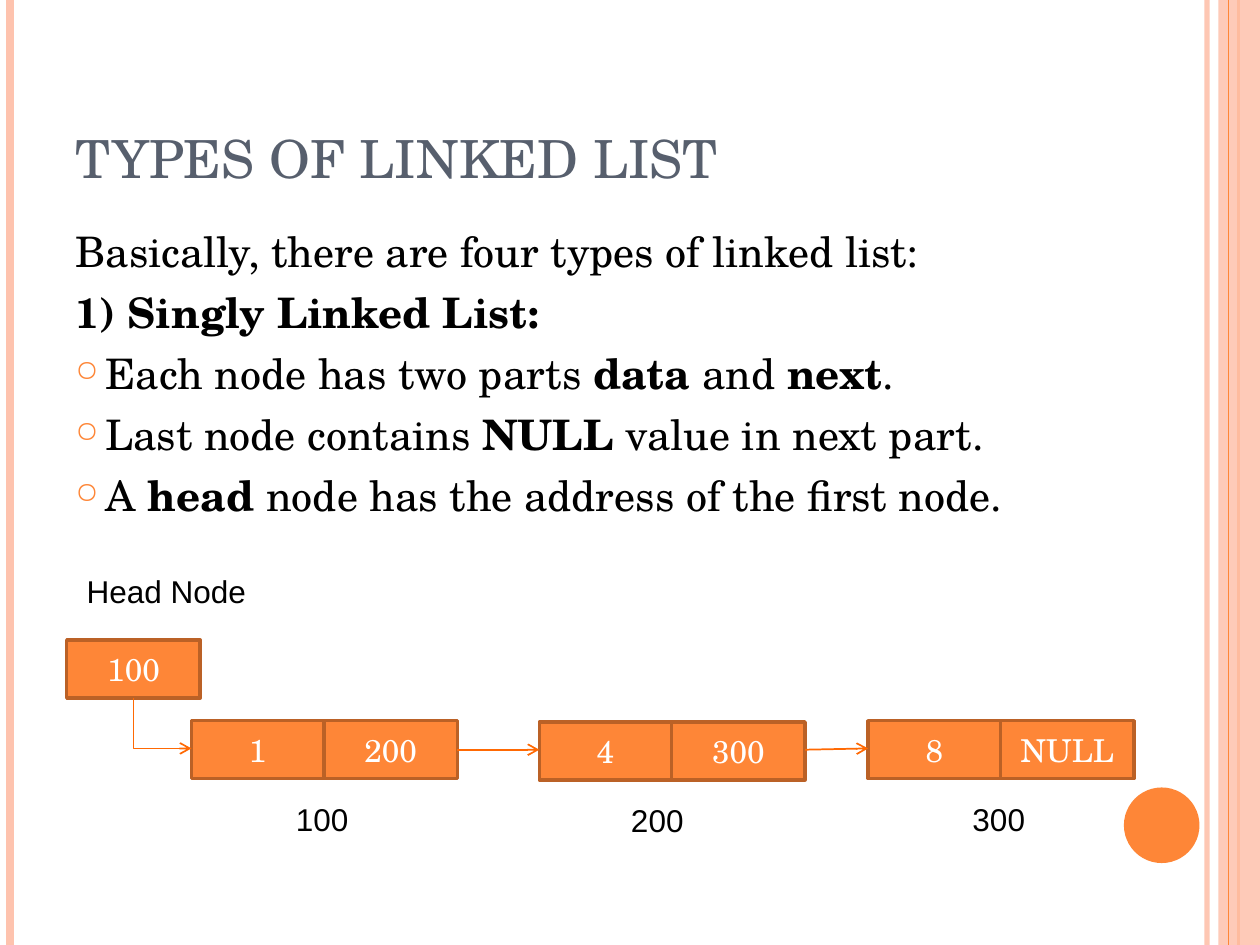
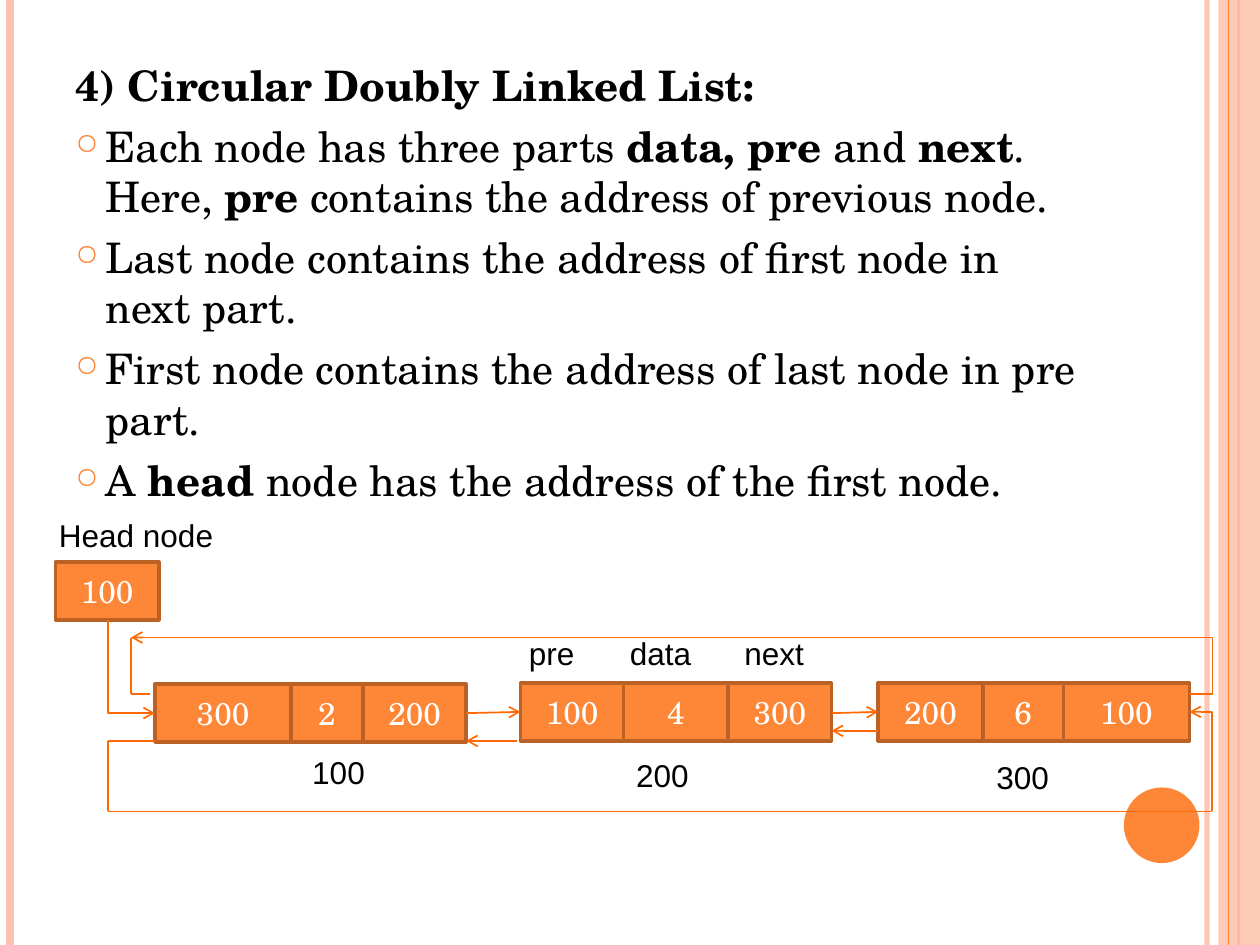
"""Builds two slides on singly and circular doubly linked lists."""
from dataclasses import dataclass

from pptx import Presentation
from pptx.dml.color import RGBColor
from pptx.enum.shapes import MSO_CONNECTOR as Connector, MSO_SHAPE as Preset
from pptx.enum.text import MSO_ANCHOR as Anchor, PP_ALIGN as Align
from pptx.oxml.ns import qn
from pptx.util import Pt
from lxml.etree import SubElement

PX = 9144
WIDTH, HEIGHT = 1000, 750


@dataclass(frozen=True)
class Theme:
    accent: str = "FE8637"
    accent_dark: str = "BB6126"
    band: str = "FEC3AE"
    arrow: str = "FF6903"
    heading: str = "575F6D"
    ink: str = "000000"
    paper: str = "FFFFFF"
    serif: str = "TeX Gyre Schola"
    sans: str = "Arial"
    title_size: int = 30
    body_size: int = 24
    small_size: int = 18
    indent: int = 24


class Deck:
    def __init__(self, theme):
        self.theme = theme
        self.presentation = Presentation()
        self.presentation.slide_width = WIDTH * PX
        self.presentation.slide_height = HEIGHT * PX
        self.slide = None

    def new_slide(self):
        theme = self.theme
        self.slide = self.presentation.slides.add_slide(self.presentation.slide_layouts[6])
        self.edge(958, theme.band, 3, 93)
        self.edge(8, theme.band, 4.5)
        self.edge(983, theme.accent, 1.5)
        self.shape(Preset.RECTANGLE, 967, 0, 33, HEIGHT, theme.band, opacity=87)
        self.edge(975, theme.accent, 0.75)
        self.shape(Preset.OVAL, 892, 625, 60, 60, theme.accent)

    def set_opacity(self, fill_parent, percent):
        for color in fill_parent.iter(qn("a:srgbClr")):
            SubElement(color, qn("a:alpha"), val=str(percent * 1000))

    def edge(self, x, color, weight, opacity=100):
        connector = self.line((x, 0), (x, HEIGHT), color, weight)
        if opacity < 100:
            self.set_opacity(connector._element.spPr, opacity)

    def line(self, start, end, color=None, weight=1, arrow=False, kind=Connector.STRAIGHT):
        connector = self.slide.shapes.add_connector(
            kind, *(length * PX for length in (*start, *end)))
        connector.line.color.rgb = RGBColor.from_string(color or self.theme.arrow)
        connector.line.width = Pt(weight)
        properties = connector._element.spPr
        if arrow:
            SubElement(properties.find(qn("a:ln")), qn("a:tailEnd"), type="arrow")
        SubElement(properties, qn("a:effectLst"))
        return connector

    def arrow(self, start, end):
        self.line(start, end, arrow=True)

    def elbow(self, start, end, bend=0):
        connector = self.line(start, end, arrow=True, kind=Connector.ELBOW)
        geometry = connector._element.spPr.find(qn("a:prstGeom"))
        guides = geometry.find(qn("a:avLst"))
        if guides is None:
            guides = SubElement(geometry, qn("a:avLst"))
        SubElement(guides, qn("a:gd"), name="adj1", fmla=f"val {bend}")

    def polyline(self, *points):
        for start, end in zip(points, points[1:]):
            self.line(start, end)

    def shape(self, preset, left, top, width, height, fill, outline=None, opacity=100):
        shape = self.slide.shapes.add_shape(
            preset, left * PX, top * PX, width * PX, height * PX)
        shape.shadow.inherit = False
        shape.fill.solid()
        shape.fill.fore_color.rgb = RGBColor.from_string(fill)
        if opacity < 100:
            self.set_opacity(shape._element.spPr, opacity)
        if outline:
            shape.line.color.rgb = RGBColor.from_string(outline)
            shape.line.width = Pt(2)
        else:
            shape.line.fill.background()
        return shape

    def add_runs(self, paragraph, text, font, size, color):
        for position, part in enumerate(text.split("*")):
            if part:
                run = paragraph.add_run()
                run.text = part
                run.font.name = font
                run.font.size = Pt(size)
                run.font.bold = position % 2 == 1
                run.font.color.rgb = RGBColor.from_string(color)

    def text_frame(self, left, top, width, height):
        box = self.slide.shapes.add_textbox(left * PX, top * PX, width * PX, height * PX)
        box.text_frame.word_wrap = True
        return box.text_frame

    def title(self, text):
        frame = self.text_frame(50, 30, 817, 125)
        frame.vertical_anchor = Anchor.BOTTOM
        theme = self.theme
        self.add_runs(frame.paragraphs[0], text, theme.serif, theme.title_size, theme.heading)

    def body(self, top, height, intro, bullets):
        theme = self.theme
        frame = self.text_frame(50, top, 817, height)
        for position, text in enumerate(intro + bullets):
            paragraph = frame.add_paragraph() if position else frame.paragraphs[0]
            if position:
                paragraph.space_before = Pt(6)
            if position >= len(intro):
                self.bullet(paragraph)
            self.add_runs(paragraph, text, theme.serif, theme.body_size, theme.ink)

    def bullet(self, paragraph):
        properties = paragraph._p.get_or_add_pPr()
        properties.set("marL", str(self.theme.indent * PX))
        properties.set("indent", str(-self.theme.indent * PX))
        color = SubElement(properties, qn("a:buClr"))
        SubElement(color, qn("a:srgbClr"), val=self.theme.accent)
        SubElement(properties, qn("a:buSzPct"), val="70000")
        SubElement(properties, qn("a:buChar"), char="○")

    def label(self, text, left, top, width=86):
        theme = self.theme
        frame = self.text_frame(left, top, width, 40)
        self.add_runs(frame.paragraphs[0], text, theme.sans, theme.small_size, theme.ink)

    def node(self, left, top, cells, height=46):
        theme = self.theme
        for text, width in cells:
            cell = self.shape(Preset.RECTANGLE, left, top, width, height,
                              theme.accent, theme.accent_dark)
            frame = cell.text_frame
            frame.word_wrap = True
            frame.vertical_anchor = Anchor.MIDDLE
            frame.paragraphs[0].alignment = Align.CENTER
            self.add_runs(frame.paragraphs[0], text, theme.serif, theme.small_size, theme.paper)
            left += width


def singly_linked_list(deck):
    deck.new_slide()
    deck.title("TYPES OF LINKED LIST")
    deck.body(174, 533,
              ["Basically, there are four types of linked list:", "*1) Singly Linked List:*"],
              ["Each node has two parts *data* and *next*.",
               "Last node contains *NULL *value in next part.",
               "A *head *node has the address of the first node."])
    deck.label("Head Node", 59, 449, 157)
    deck.node(53, 508, [("100", 106)])
    for left, top, data, following, address, label_left in (
            (152, 572, "1", "200", "100", 225),
            (428, 573, "4", "300", "200", 491),
            (689, 572, "8", "NULL", "300", 762)):
        deck.node(left, top, [(data, 105), (following, 106)])
        deck.label(address, label_left, top + 58)
    deck.elbow((106, 554), (152, 594))
    deck.arrow((363, 595), (428, 595))
    deck.arrow((639, 595), (689, 594))


def circular_doubly_linked_list(deck):
    deck.new_slide()
    deck.body(42, 665,
              ["*4) Circular Doubly Linked List:*"],
              ["Each node has three parts *data, pre* and *next*. Here, *pre* contains"
               " the address of previous node.",
               "Last node contains the address of first node in next part.",
               "First node contains the address of last node in pre part.",
               "A *head *node has the address of the first node."])
    deck.label("Head node", 37, 405, 163)
    deck.node(44, 446, [("100", 82)])
    deck.node(123, 543, [("300", 108), ("2", 57), ("200", 82)])
    deck.node(413, 542, [("100", 82), ("4", 83), ("300", 82)])
    deck.node(697, 542, [("200", 83), ("6", 64), ("100", 100)])
    for text, left, top in (("100", 238, 593), ("200", 495, 595), ("300", 781, 597),
                            ("pre", 410, 498), ("data", 490, 498), ("next", 581, 498)):
        deck.label(text, left, top)
    deck.elbow((86, 492), (123, 566))
    deck.arrow((370, 566), (413, 565))
    deck.arrow((660, 566), (697, 565))
    deck.arrow((410, 588), (370, 588))
    deck.arrow((697, 580), (660, 580))
    deck.polyline((123, 588), (86, 588), (86, 644), (962, 644))
    deck.elbow((962, 644), (944, 565))
    deck.elbow((944, 551), (104, 506), -2200)
    deck.polyline((104, 506), (104, 551), (119, 551))


def main():
    deck = Deck(Theme())
    singly_linked_list(deck)
    circular_doubly_linked_list(deck)
    deck.presentation.save("out.pptx")


if __name__ == "__main__":
    main()
